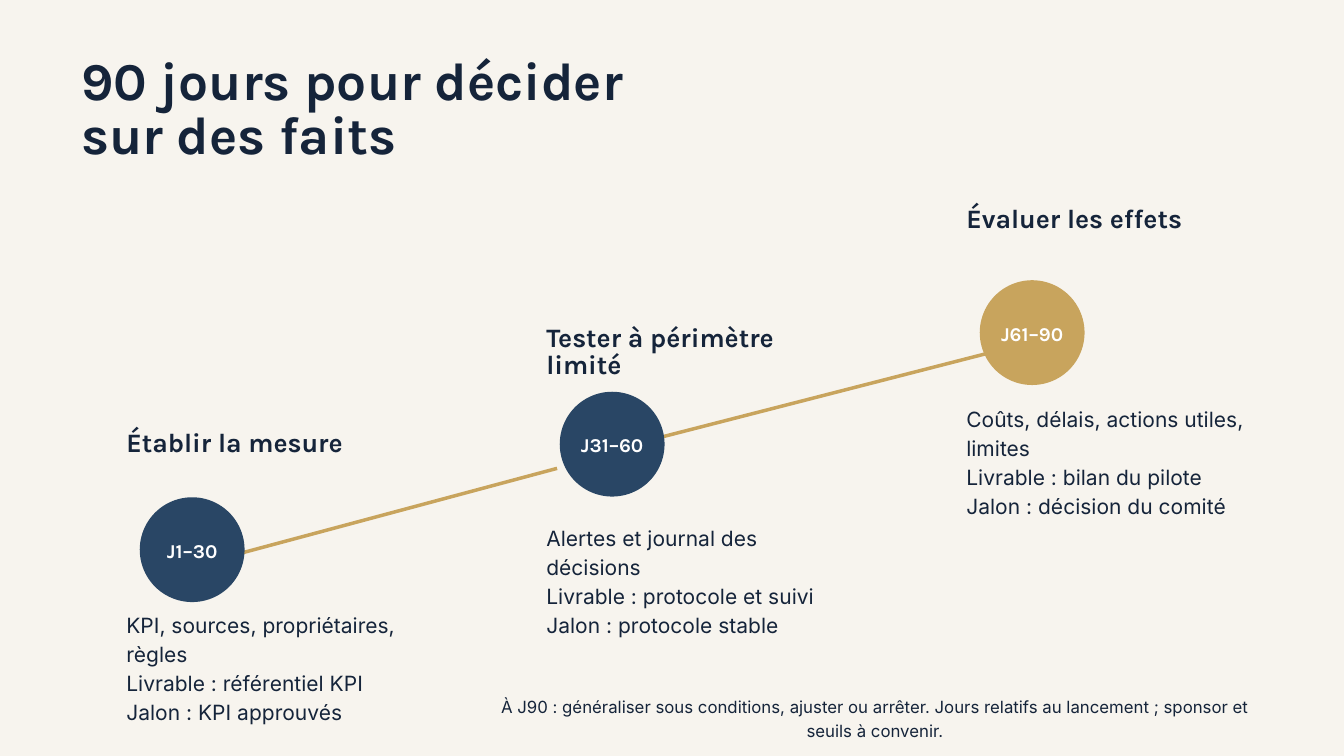
from dataclasses import dataclass

from lxml import etree
from pptx import Presentation
from pptx.dml.color import RGBColor
from pptx.enum.shapes import MSO_CONNECTOR, MSO_SHAPE
from pptx.enum.text import MSO_ANCHOR, PP_ALIGN
from pptx.oxml.ns import qn
from pptx.util import Inches, Pt

CREAM = RGBColor(0xF7, 0xF4, 0xEE)
NAVY = RGBColor(0x15, 0x24, 0x3A)
BLUE = RGBColor(0x29, 0x46, 0x65)
GOLD = RGBColor(0xC8, 0xA4, 0x5D)
WHITE = RGBColor(0xFF, 0xFF, 0xFF)

LEFT, CENTER = PP_ALIGN.LEFT, PP_ALIGN.CENTER
MIDDLE = MSO_ANCHOR.MIDDLE
OVAL = MSO_SHAPE.OVAL
STRAIGHT = MSO_CONNECTOR.STRAIGHT

DIAMETER = 1.56
FIRST_LEFT = 1.88
STEP_PITCH = 6.25
CIRCLE_INDENT = 0.2


@dataclass(frozen=True)
class TextStyle:
    font: str
    size: float
    line_spacing: float
    color: RGBColor = NAVY
    bold: bool = False
    align: PP_ALIGN = LEFT


@dataclass(frozen=True)
class Step:
    days: str
    title: str
    details: tuple[str, ...]
    color: RGBColor
    title_top: float
    title_height: float
    circle_top: float
    details_top: float


@dataclass(frozen=True)
class Link:
    start: tuple[float, float]
    end: tuple[float, float]


TITLE = TextStyle("Karla", 57, 58.1, bold=True)
STEP_TITLE = TextStyle("Karla", 28.5, 29.1, bold=True)
BADGE = TextStyle("Karla", 21, 29.4, WHITE, True, CENTER)
BODY = TextStyle("Inter", 22.5, 31)
FOOTNOTE = TextStyle("Inter", 18, 24.8, align=CENTER)

STEPS = (
    Step("J1–30", "Établir la mesure",
         ("KPI, sources, propriétaires, règles",
          "Livrable : référentiel KPI",
          "Jalon : KPI approuvés"),
         BLUE, 6.41, 0.41, 7.4, 9.06),
    Step("J31–60", "Tester à périmètre limité",
         ("Alertes et journal des décisions",
          "Livrable : protocole et suivi",
          "Jalon : protocole stable"),
         BLUE, 4.84, 0.81, 5.83, 7.76),
    Step("J61–90", "Évaluer les effets",
         ("Coûts, délais, actions utiles, limites",
          "Livrable : bilan du pilote",
          "Jalon : décision du comité"),
         GOLD, 3.07, 0.41, 4.17, 5.99),
)
LINKS = (
    Link((2.81, 8.44), (8.29, 6.97)),
    Link((9.43, 6.61), (15.31, 5.1)),
)


def write_text(text_frame, lines: tuple[str, ...], style: TextStyle) -> None:
    text_frame.margin_left = text_frame.margin_right = 0
    text_frame.margin_top = text_frame.margin_bottom = 0
    for index, line in enumerate(lines):
        paragraph = text_frame.paragraphs[0] if index == 0 else text_frame.add_paragraph()
        paragraph.text = line
        paragraph.alignment = style.align
        paragraph.line_spacing = Pt(style.line_spacing)
        paragraph.font.name = style.font
        paragraph.font.size = Pt(style.size)
        paragraph.font.bold = style.bold
        paragraph.font.color.rgb = style.color


def add_text(slide, left: float, top: float, width: float, height: float,
             lines: tuple[str, ...], style: TextStyle) -> None:
    box = slide.shapes.add_textbox(Inches(left), Inches(top), Inches(width), Inches(height))
    box.text_frame.word_wrap = True
    write_text(box.text_frame, lines, style)


def add_link(slide, link: Link) -> None:
    points = [Inches(value) for value in link.start + link.end]
    connector = slide.shapes.add_connector(STRAIGHT, *points)
    connector.line.color.rgb = GOLD
    connector.line.width = Pt(3.75)
    etree.SubElement(connector._element.spPr, qn("a:effectLst"))


def add_badge(slide, left: float, step: Step) -> None:
    circle = slide.shapes.add_shape(OVAL, Inches(left), Inches(step.circle_top),
                                    Inches(DIAMETER), Inches(DIAMETER))
    circle.shadow.inherit = False
    circle.fill.solid()
    circle.fill.fore_color.rgb = step.color
    circle.line.fill.background()
    text_frame = circle.text_frame
    text_frame.word_wrap = False
    text_frame.vertical_anchor = MIDDLE
    write_text(text_frame, (step.days,), BADGE)
    text_frame.margin_bottom = Inches(0.04)


def add_step(slide, left: float, step: Step) -> None:
    add_badge(slide, left + CIRCLE_INDENT, step)
    add_text(slide, left, step.title_top, 4.17, step.title_height, (step.title,), STEP_TITLE)
    add_text(slide, left, step.details_top, 4.48, 1.7, step.details, BODY)


def main() -> None:
    presentation = Presentation()
    presentation.slide_width = Inches(20)
    presentation.slide_height = Inches(11.25)
    slide = presentation.slides.add_slide(presentation.slide_layouts[6])
    slide.background.fill.solid()
    slide.background.fill.fore_color.rgb = CREAM

    # Title
    add_text(slide, 1.21, 0.85, 11.46, 1.64,
             ("90 jours pour décider", "sur des faits"), TITLE)

    # Rising timeline, with the links behind the circles
    for link in LINKS:
        add_link(slide, link)
    for index, step in enumerate(STEPS):
        add_step(slide, FIRST_LEFT + index * STEP_PITCH, step)

    # Footnote
    add_text(slide, 7.29, 10.33, 11.46, 0.67,
             ("À J90 : généraliser sous conditions, ajuster ou arrêter. "
              "Jours relatifs au lancement ; sponsor et seuils à convenir.",), FOOTNOTE)

    presentation.save("out.pptx")


if __name__ == "__main__":
    main()
